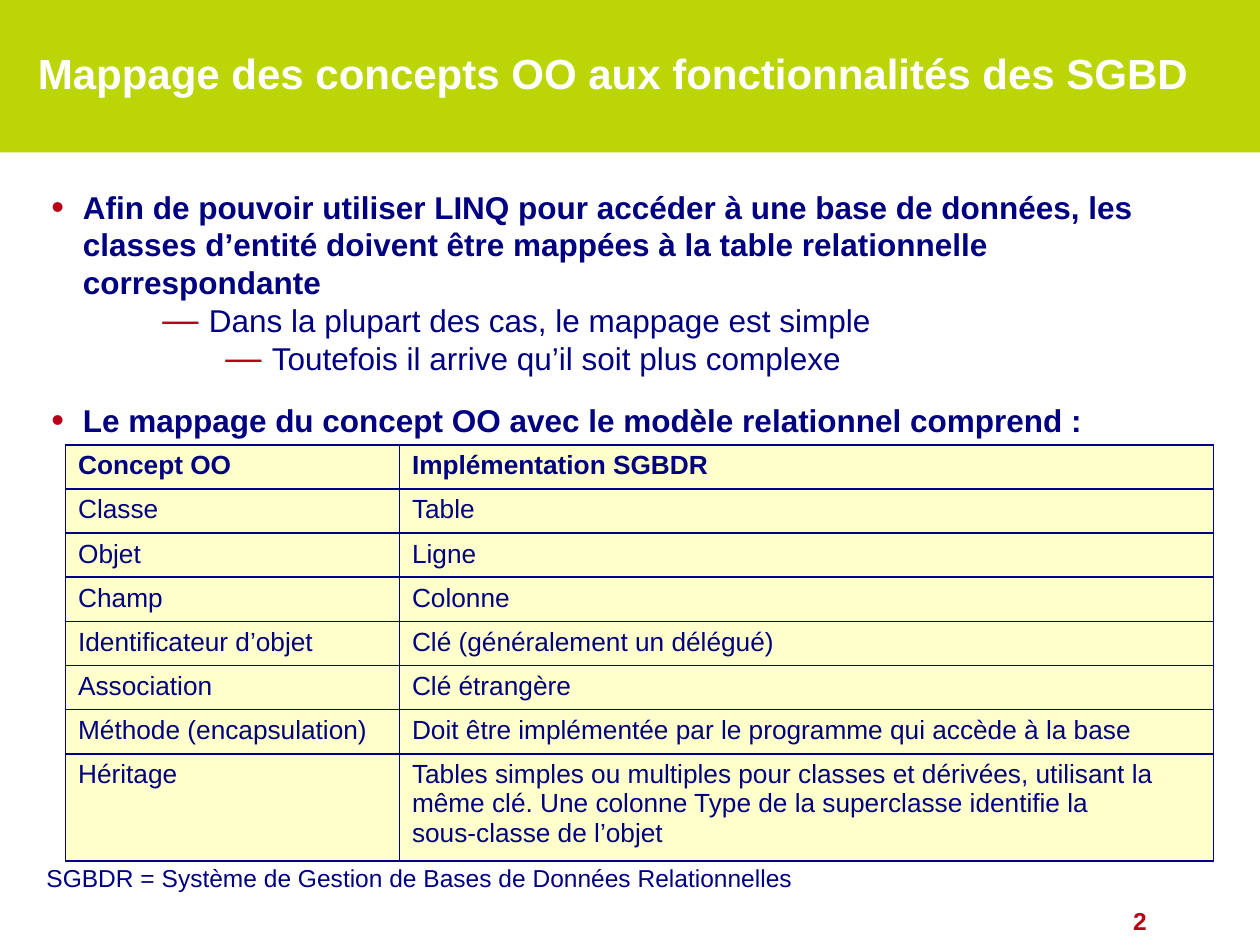
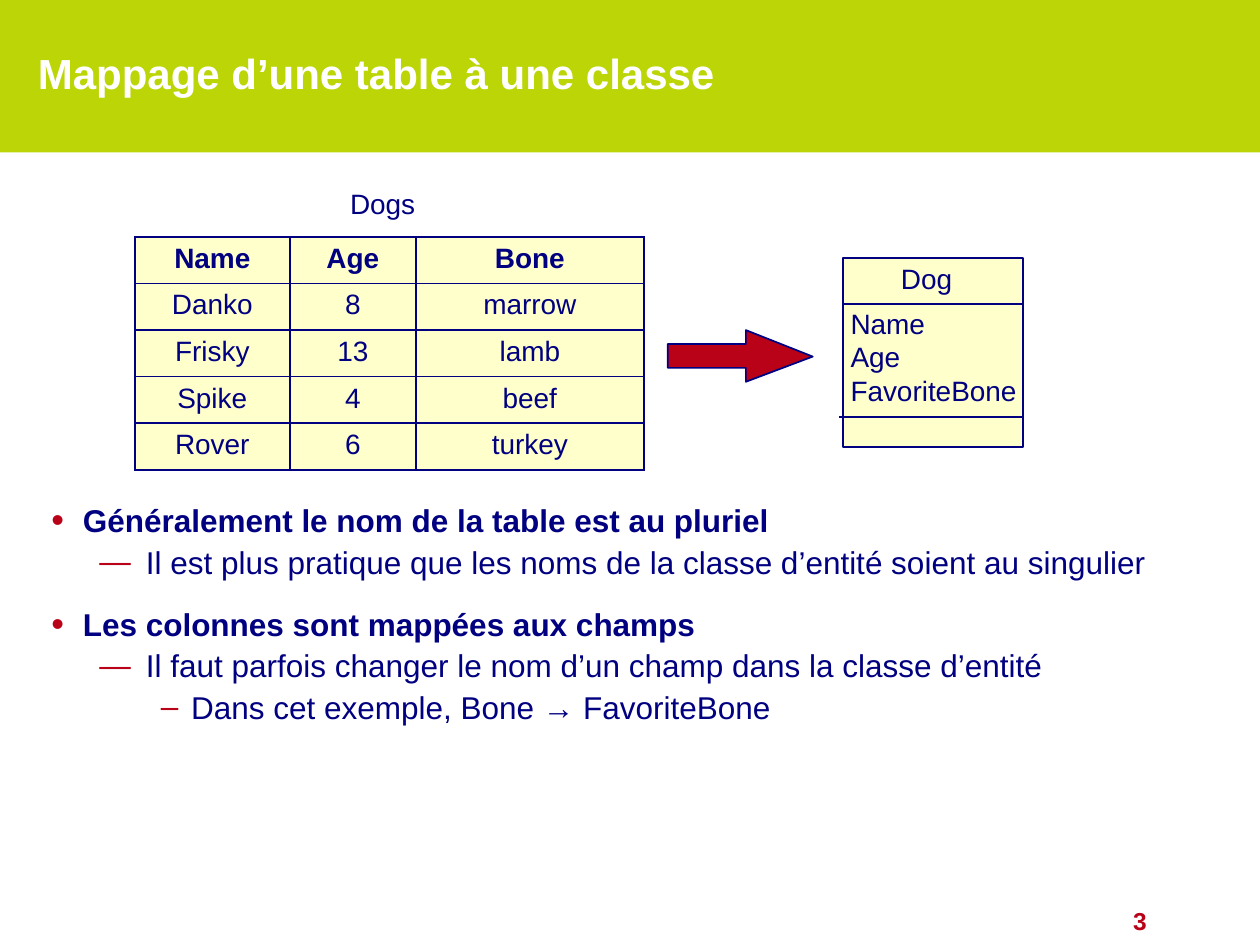
from pptx import Presentation
from pptx.dml.color import RGBColor
from pptx.enum.shapes import MSO_CONNECTOR, MSO_SHAPE
from pptx.enum.text import MSO_ANCHOR, MSO_AUTO_SIZE, PP_ALIGN
from pptx.oxml import parse_xml
from pptx.oxml.ns import nsdecls, qn
from pptx.util import Inches, Pt

LEFT, CENTER, RIGHT = PP_ALIGN.LEFT, PP_ALIGN.CENTER, PP_ALIGN.RIGHT
MIDDLE = MSO_ANCHOR.MIDDLE
NO_FIT = MSO_AUTO_SIZE.NONE
RECT = MSO_SHAPE.RECTANGLE
STRAIGHT = MSO_CONNECTOR.STRAIGHT

LIME = RGBColor(0xBC, 0xD5, 0x07)
WHITE = RGBColor(0xFF, 0xFF, 0xFF)
NAVY = RGBColor(0x00, 0x00, 0x80)
CRIMSON = RGBColor(0xB9, 0x01, 0x17)
CREAM = RGBColor(0xFF, 0xFF, 0xCC)

FONT = "Arial"
TITLE_ONLY = 5

# style: (bullet, text indent, hanging, space before, bullet size %, bold)
STYLES = {
    "point": ("•", 0.25, 0.25, 14, 115, True),
    "case": ("—", 1.25, 0.37, 0, 115, False),
    "exception": ("—", 1.75, 0.37, 0, 115, False),
    "detail": ("—", 0.75, 0.37, 2, 100, False),
    "example": ("–", 1.11, 0.24, 2, 100, False),
}

MAPPING_POINTS = [
    ("point", "Afin de pouvoir utiliser LINQ pour accéder à une base de données, les "
              "classes d’entité doivent être mappées à la table relationnelle correspondante"),
    ("case", "Dans la plupart des cas, le mappage est simple"),
    ("exception", "Toutefois il arrive qu’il soit plus complexe"),
    ("point", "Le mappage du concept OO avec le modèle relationnel comprend :"),
]
CONCEPTS = [
    ("Concept OO", "Implémentation SGBDR"),
    ("Classe", "Table"),
    ("Objet", "Ligne"),
    ("Champ", "Colonne"),
    ("Identificateur d’objet", "Clé (généralement un délégué)"),
    ("Association", "Clé étrangère"),
    ("Méthode (encapsulation)", "Doit être implémentée par le programme qui accède à la base"),
    ("Héritage", "Tables simples ou multiples pour classes et dérivées, utilisant la même clé. "
                 "Une colonne Type de la superclasse identifie la\nsous-classe de l’objet"),
]
NAMING_POINTS = [
    ("point", "Généralement le nom de la table est au pluriel"),
    ("detail", "Il est plus pratique que les noms de la classe d’entité soient au singulier"),
    ("point", "Les colonnes sont mappées aux champs"),
    ("detail", "Il faut parfois changer le nom d’un champ dans la classe d’entité"),
    ("example", "Dans cet exemple, Bone → FavoriteBone"),
]
DOGS = [
    ("Name", "Age", "Bone"),
    ("Danko", "8", "marrow"),
    ("Frisky", "13", "lamb"),
    ("Spike", "4", "beef"),
    ("Rover", "6", "turkey"),
]
ARROW = [(5.92, 2.62), (5.92, 2.73), (5.3, 2.73), (5.3, 2.92),
         (5.92, 2.92), (5.92, 3.03), (6.45, 2.83)]


def box(*lengths):
    """Convert lengths in inches to slide units."""
    return [Inches(v) for v in lengths]


def format_text(tf, size, color=NAVY, bold=False, align=LEFT):
    """Apply one look to every paragraph and run of a text frame."""
    look = {"name": FONT, "size": Pt(size), "bold": bold}
    for p in tf.paragraphs:
        p.alignment = align
        for r in p.runs:
            for key, value in look.items():
                setattr(r.font, key, value)
            r.font.color.rgb = color


def add_text(slide, at, text, size, wrap=False, margin=None, **look):
    """Add a plain text box."""
    tf = slide.shapes.add_textbox(*box(*at)).text_frame
    tf.word_wrap = wrap
    if margin is not None:
        for side in ("left", "top", "right", "bottom"):
            setattr(tf, f"margin_{side}", Inches(margin))
    tf.text = text
    format_text(tf, size, **look)


def add_points(slide, at, points):
    """Add a text box of bulleted points."""
    tf = slide.shapes.add_textbox(*box(*at)).text_frame
    tf.word_wrap = True
    for i, (style, text) in enumerate(points):
        char, indent, hanging, before, percent, bold = STYLES[style]
        p = tf.paragraphs[0] if i == 0 else tf.add_paragraph()
        pPr = p._p.get_or_add_pPr()
        pPr.set("marL", str(Inches(indent)))
        pPr.set("indent", str(-Inches(hanging)))
        for xml in (f'<a:buClr {nsdecls("a")}><a:srgbClr val="{CRIMSON}"/></a:buClr>',
                    f'<a:buSzPct {nsdecls("a")} val="{percent * 1000}"/>',
                    f'<a:buFont {nsdecls("a")} typeface="{FONT}"/>',
                    f'<a:buChar {nsdecls("a")} char="{char}"/>'):
            pPr.append(parse_xml(xml))
        if i:
            p.space_before = Pt(before)
        r = p.add_run()
        r.text = text
        for key, value in {"name": FONT, "size": Pt(18), "bold": bold}.items():
            setattr(r.font, key, value)
        r.font.color.rgb = NAVY


def add_border(cell):
    """Draw a thin navy line on all four sides of a cell."""
    tcPr = cell._tc.get_or_add_tcPr()
    for side in "LRTB":
        tcPr.append(parse_xml(
            f'<a:ln{side} {nsdecls("a")} w="{Pt(1)}"><a:solidFill>'
            f'<a:srgbClr val="{NAVY}"/></a:solidFill></a:ln{side}>'))


def add_grid(slide, left, top, widths, heights, rows, size, align=LEFT):
    """Add a bordered table with a bold first row."""
    frame = slide.shapes.add_table(len(rows), len(widths),
                                   *box(left, top, sum(widths), sum(heights)))
    table = frame.table
    table.horz_banding = table.first_row = False
    for column, width in zip(table.columns, widths):
        column.width = Inches(width)
    for i, (row, height) in enumerate(zip(rows, heights)):
        table.rows[i].height = Inches(height)
        for j, text in enumerate(row):
            cell = table.cell(i, j)
            cell.text = text
            format_text(cell.text_frame, size, bold=i == 0, align=align)
            add_border(cell)
            cell.fill.solid()
            cell.fill.fore_color.rgb = CREAM


def paint(sp, fill, line=NAVY):
    """Give a shape a flat fill and a thin line, or no line."""
    sp.shadow.inherit = False
    sp.fill.solid()
    sp.fill.fore_color.rgb = fill
    if line is None:
        sp.line.fill.background()
    else:
        sp.line.color.rgb = line
        sp.line.width = Pt(1)


def add_rule(slide, left, right, y):
    """Add a thin horizontal line."""
    rule = slide.shapes.add_connector(STRAIGHT, *box(left, y, right, y))
    rule.line.color.rgb = NAVY
    rule.line.width = Pt(1)
    rule._element.spPr.append(parse_xml(f'<a:effectLst {nsdecls("a")}/>'))


def add_title(slide, text, width):
    """Place the white shadowed title on the band."""
    sp = slide.shapes.title
    sp.left, sp.top, sp.width, sp.height = box(0.2, 0.18, width, 0.79)
    tf = sp.text_frame
    for key, value in {"text": text, "vertical_anchor": MIDDLE,
                       "auto_size": NO_FIT, "word_wrap": True}.items():
        setattr(tf, key, value)
    format_text(tf, 24, color=WHITE, bold=True)
    fill = tf.paragraphs[0].runs[0]._r.rPr.find(qn("a:solidFill"))
    fill.addnext(parse_xml(
        f'<a:effectLst {nsdecls("a")}><a:outerShdw dist="38100" dir="2700000">'
        '<a:srgbClr val="000000"/></a:outerShdw></a:effectLst>'))


def new_slide(prs, title, number, title_width):
    """Add a slide with the white page area, title and page number."""
    slide = prs.slides.add_slide(prs.slide_layouts[TITLE_ONLY])
    page = slide.shapes.add_shape(RECT, *box(0, 1.21, 10, 6.29))
    paint(page, WHITE, None)
    add_title(slide, title, title_width)
    add_text(slide, (7.62, 7.14, 1.58, 0.33), str(number), 14, wrap=True,
             color=CRIMSON, bold=True, align=RIGHT)
    return slide


def add_arrow(slide, points):
    """Add the block arrow from the table to the class."""
    corners = [box(x, y) for x, y in points]
    builder = slide.shapes.build_freeform(*corners[0])
    builder.add_line_segments(corners[1:], close=True)
    paint(builder.convert_to_shape(), CRIMSON)


def add_class(slide):
    """Draw the Dog class box with its name, fields and empty methods."""
    paint(slide.shapes.add_shape(RECT, *box(6.69, 2.05, 1.43, 1.5)), CREAM)
    add_text(slide, (7.15, 2.08, 0.41, 0.27), "Dog", 16, margin=0)
    add_rule(slide, 6.68, 8.12, 2.41)
    add_rule(slide, 6.66, 8.11, 3.31)
    add_text(slide, (6.75, 2.43, 1.48, 0.8), "Name\nAge\nFavoriteBone", 16,
             wrap=True, margin=0)


def main():
    """Build the two slides."""
    prs = Presentation()
    prs.slide_width, prs.slide_height = box(10, 7.5)
    background = prs.slide_master.background.fill
    background.solid()
    background.fore_color.rgb = LIME

    slide = new_slide(prs, "Mappage des concepts OO aux fonctionnalités des SGBD", 2, 9.63)
    add_points(slide, (0.31, 1.44, 9.41, 5.61), MAPPING_POINTS)
    add_grid(slide, 0.52, 3.53, [2.65, 6.46], [0.33] * 7 + [0.79], CONCEPTS, 15)
    add_text(slide, (0.27, 6.8, 6.15, 0.34),
             "SGBDR = Système de Gestion de Bases de Données Relationnelles", 14)

    slide = new_slide(prs, "Mappage d’une table à une classe", 3, 8.52)
    add_points(slide, (0.31, 3.93, 9.4, 1.9), NAMING_POINTS)
    add_class(slide)
    add_arrow(slide, ARROW)
    add_grid(slide, 1.07, 1.88, [1.23, 1, 1.81], [0.37] * 5, DOGS, 16, CENTER)
    add_text(slide, (2.68, 1.43, 0.72, 0.37), "Dogs", 16)

    prs.save("out.pptx")


if __name__ == "__main__":
    main()
